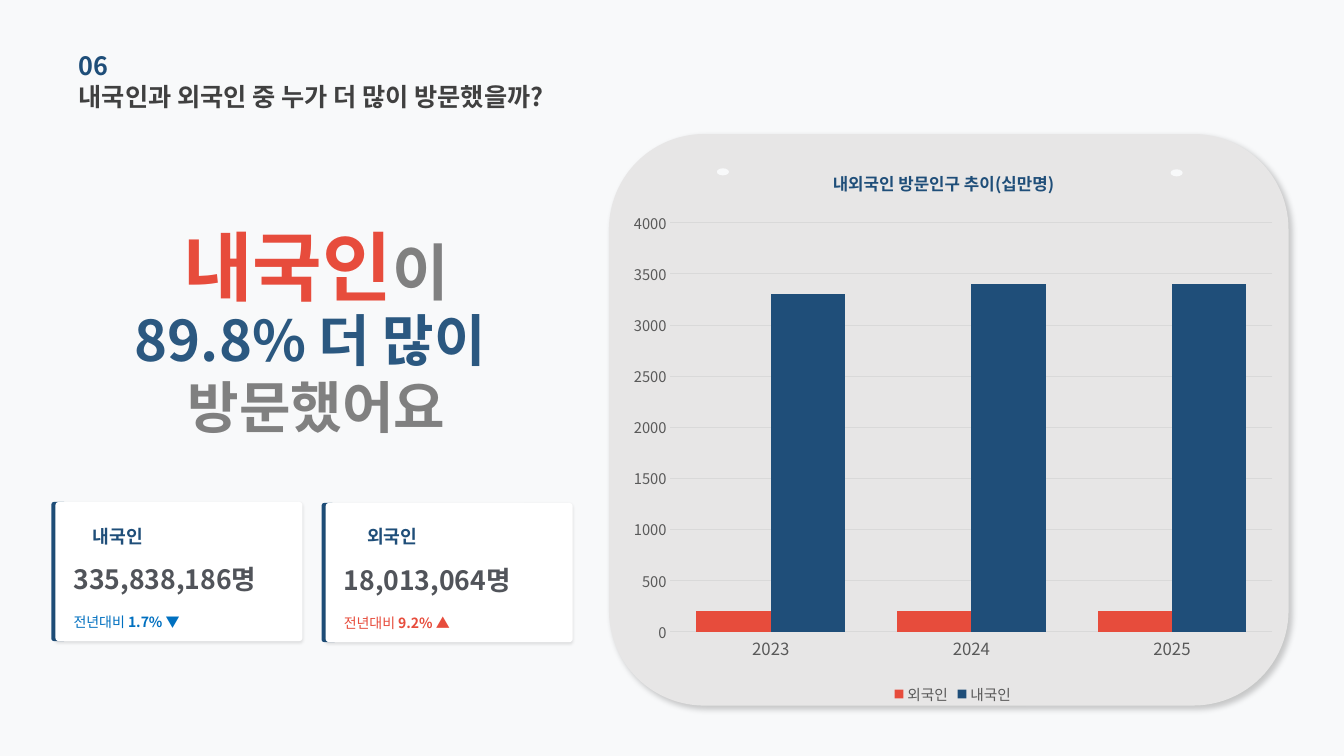
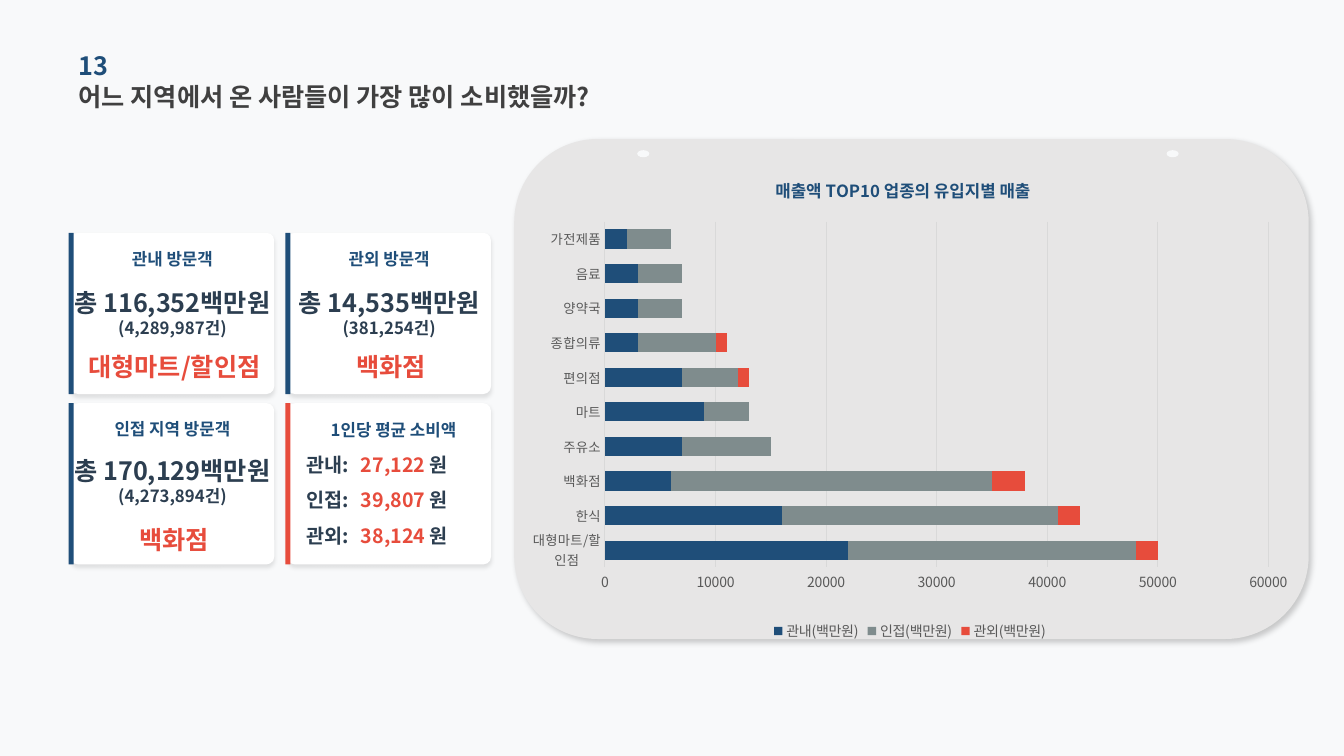
import pptx
import pptx.chart.data
import pptx.dml.color
import pptx.enum.chart
import pptx.enum.shapes
import pptx.enum.text
import pptx.oxml
import pptx.oxml.ns
import pptx.util
from lxml import etree

FACE = "Noto Sans CJK KR"
COLORS = {
    "page": "F8F9FA", "panel": "E7E6E6", "card": "FFFFFF", "navy": "1F4E79",
    "red": "E74C3C", "steel": "2B5880", "gray": "808080", "title": "404040",
    "figure": "51545A", "ink": "2C3E50", "blue": "0070C0", "slate": "7F8C8D",
    "axis": "595959", "grid": "D9D9D9",
}
PANEL_SHADOW = (20, 4, 3, 45)
SOFT_SHADOW = (10, 2, 1, 90)
CARD_SHADOW = (10, 3, 2, 90)
SHAPES = pptx.enum.shapes.MSO_SHAPE
CHARTS = pptx.enum.chart.XL_CHART_TYPE
CENTER = pptx.enum.text.PP_ALIGN.CENTER

VISITORS = {
    "number": "06",
    "title": "내국인과 외국인 중 누가 더 많이 방문했을까?",
    "panel": (6.04, 1.33, 6.74, 5.67),
    "holes": [(7.11, 1.67), (11.61, 1.68)],
    "chart": {
        "at": (6.15, 1.48, 6.6, 5.55), "kind": CHARTS.COLUMN_CLUSTERED,
        "title": "내외국인 방문인구 추이(십만명)", "title_at": (8.23, 1.64),
        "plot": (6.65, 2.21, 5.97, 4.06), "gap": 70, "overlap": 0,
        "sizes": {"category": 12, "value": 10.5, "legend": 10.5},
        "categories": ["2023", "2024", "2025"],
        "series": [("외국인", "red", [200, 200, 200]),
                   ("내국인", "navy", [3300, 3400, 3400])],
    },
}
GROUPS = [
    ("내국인", "335,838,186명", "1.7% ▼", "blue", 0.55, 4.98, 0.37),
    ("외국인", "18,013,064명", "9.2% ▲", "red", 3.23, 4.99, 0.41),
]

SPENDING = {
    "number": "13",
    "title": "어느 지역에서 온 사람들이 가장 많이 소비했을까?",
    "panel": (5.1, 1.38, 7.88, 4.96),
    "holes": [(6.32, 1.49), (11.57, 1.49)],
    "chart": {
        "at": (5.22, 1.56, 7.61, 4.84), "kind": CHARTS.BAR_STACKED,
        "title": "매출액 TOP10 업종의 유입지별 매출", "title_at": (7.66, 1.71),
        "plot": (6, 2.2, 6.58, 3.43), "gap": 80, "overlap": 100,
        "sizes": {"category": 9.5, "value": 10, "legend": 10},
        "categories": ["대형마트/할인점", "한식", "백화점", "주유소", "마트",
                       "편의점", "종합의류", "양약국", "음료", "가전제품"],
        "series": [
            ("관내(백만원)", "navy",
             [22000, 16000, 6000, 7000, 9000, 7000, 3000, 3000, 3000, 2000]),
            ("인접(백만원)", "slate",
             [26000, 25000, 29000, 8000, 4000, 5000, 7000, 4000, 4000, 4000]),
            ("관외(백만원)", "red",
             [2000, 2000, 3000, 0, 0, 1000, 1000, 0, 0, 0]),
        ],
    },
}
ORIGINS = [
    ("관내 방문객", "총 116,352백만원", "(4,289,987건)", "대형마트/할인점"),
    ("관외 방문객", "총 14,535백만원", "(381,254건)", "백화점"),
    ("인접 지역 방문객", "총 170,129백만원", "(4,273,894건)", "백화점"),
]
AVERAGES = ("1인당 평균 소비액",
            [("관내:", "27,122 "), ("인접:", "39,807 "), ("관외:", "38,124 ")])
CARD_GRID = {"left": 0.7, "top": 2.31, "width": 2.02, "height": 1.6,
             "column": 2.15, "row": 1.69}


def rgb(name):
    return pptx.dml.color.RGBColor.from_string(COLORS[name])


def inches(box):
    return [pptx.util.Inches(length) for length in box]


def set_font(font, size, color, bold=False):
    font.size = pptx.util.Pt(size)
    font.bold = bold
    font.color.rgb = rgb(color)
    font.name = FACE
    font._rPr.set("kern", "0")
    latin = font._rPr.find(pptx.oxml.ns.qn("a:latin"))
    latin.addnext(etree.Element(pptx.oxml.ns.qn("a:ea"), typeface=FACE))


def add_text(slide, box, *paragraphs, align=None):
    frame = slide.shapes.add_textbox(*inches(box)).text_frame
    frame.word_wrap = True
    frame.vertical_anchor = pptx.enum.text.MSO_ANCHOR.MIDDLE
    frame.margin_left = frame.margin_right = 0
    frame.margin_top = frame.margin_bottom = 0
    for index, runs in enumerate(paragraphs):
        paragraph = frame.add_paragraph() if index else frame.paragraphs[0]
        paragraph.alignment = align
        set_font(paragraph.font, *runs[0][1:])
        for position, (words, *style) in enumerate(runs):
            run = paragraph.add_run()
            run.text = words
            if position:
                set_font(run.font, *style)


def add_block(slide, preset, box, color, shadow=None, corner=None):
    block = slide.shapes.add_shape(preset, *inches(box))
    block.fill.solid()
    block.fill.fore_color.rgb = rgb(color)
    block.line.fill.background()
    block.shadow.inherit = False
    if corner is not None:
        block.adjustments[0] = corner
    if shadow:
        alpha, blur, distance, angle = shadow
        effects = block._element.spPr.find(pptx.oxml.ns.qn("a:effectLst"))
        effects.append(pptx.oxml.parse_xml(
            f'<a:outerShdw {pptx.oxml.ns.nsdecls("a")} blurRad="{blur * 12700}" '
            f'dist="{distance * 12700}" dir="{angle * 60000}" algn="tl" '
            f'rotWithShape="0"><a:srgbClr val="000000">'
            f'<a:alpha val="{alpha * 1000}"/></a:srgbClr></a:outerShdw>'))


def set_layout(parent, index, chart_box, place, inner=False):
    previous = parent.find(pptx.oxml.ns.qn("c:layout"))
    if previous is not None:
        parent.remove(previous)
    left, top, width, height = chart_box
    shares = [(place[0] - left) / width, (place[1] - top) / height]
    if len(place) == 4:
        shares += [place[2] / width, place[3] / height]
    target = '<c:layoutTarget val="inner"/>' if inner else ""
    modes = "".join(f'<c:{axis}Mode val="edge"/>' for axis in "xy")
    sizes = "".join(f'<c:{key} val="{share}"/>' for key, share in zip("xywh", shares))
    parent.insert(index, pptx.oxml.parse_xml(
        f'<c:layout {pptx.oxml.ns.nsdecls("c")}><c:manualLayout>'
        f'{target}{modes}{sizes}</c:manualLayout></c:layout>'))


def add_chart(slide, content):
    data = pptx.chart.data.CategoryChartData()
    data.categories = content["categories"]
    for name, _, values in content["series"]:
        data.add_series(name, values)
    box = content["at"]
    chart = slide.shapes.add_chart(content["kind"], *inches(box), data).chart
    sizes = content["sizes"]
    chart.font.size = pptx.util.Pt(10)
    chart.font.name = "Calibri"

    chart.has_title = True
    heading = chart.chart_title.text_frame
    heading.text = content["title"]
    set_font(heading.paragraphs[0].font, 12, "navy", True)
    chart.chart_title.include_in_layout = False
    set_layout(chart.chart_title._element, 1, box, content["title_at"])
    set_layout(chart._chartSpace.chart.plotArea, 0, box, content["plot"], inner=True)

    chart.has_legend = True
    chart.legend.position = pptx.enum.chart.XL_LEGEND_POSITION.BOTTOM
    chart.legend.include_in_layout = False
    set_font(chart.legend.font, sizes["legend"], "axis")

    for axis, size in ((chart.category_axis, sizes["category"]),
                       (chart.value_axis, sizes["value"])):
        axis.major_tick_mark = pptx.enum.chart.XL_TICK_MARK.NONE
        set_font(axis.tick_labels.font, size, "axis")
    chart.value_axis.has_major_gridlines = True
    chart.value_axis.format.line.fill.background()
    for rule in (chart.category_axis.format.line,
                 chart.value_axis.major_gridlines.format.line):
        rule.color.rgb = rgb("grid")
        rule.width = pptx.util.Pt(0.75)

    plot = chart.plots[0]
    plot.vary_by_categories = False
    plot.gap_width = content["gap"]
    plot.overlap = content["overlap"]
    for series, (_, color, _) in zip(plot.series, content["series"]):
        series.format.fill.solid()
        series.format.fill.fore_color.rgb = rgb(color)


def start_slide(deck, content):
    slide = deck.slides.add_slide(deck.slide_layouts[6])
    slide.background.fill.solid()
    slide.background.fill.fore_color.rgb = rgb("page")
    add_text(slide, (0.78, 0.44, 4.52, 0.41), [(content["number"], 18, "navy", True)])
    add_text(slide, (0.78, 0.75, 5.35, 0.41), [(content["title"], 18, "title", True)])
    add_block(slide, SHAPES.ROUNDED_RECTANGLE, content["panel"], "panel", PANEL_SHADOW)
    for left, top in content["holes"]:
        add_block(slide, SHAPES.OVAL, (left, top, 0.12, 0.07), "page")
    add_chart(slide, content["chart"])
    return slide


def build_visitors(deck):
    slide = start_slide(deck, VISITORS)
    add_text(slide, (0.99, 2.39, 4.29, 0.48),
             [("내국인", 54, "red", True), ("이", 44, "gray", True)], align=CENTER)
    add_text(slide, (0.38, 3.28, 5.52, 0.84),
             [("89.8% 더 많이 ", 40, "steel", True)],
             [("방문했어요", 40, "gray", True)], align=CENTER)
    for label, count, change, color, left, top, indent in GROUPS:
        add_block(slide, SHAPES.ROUNDED_RECTANGLE, (left - 0.04, top, 0.15, 1.38), "navy")
        add_block(slide, SHAPES.ROUNDED_RECTANGLE, (left, top, 2.45, 1.38), "card",
                  SOFT_SHADOW, 0.023)
        add_text(slide, (left + indent, 5.18, 0.65, 0.28), [(label, 13, "navy", True)])
        add_text(slide, (left + 0.18, top + 0.57, 2.5, 0.39),
                 [(count, 19, "figure", True)])
        add_text(slide, (left + 0.18, top + 0.96, 2.5, 0.45),
                 [("전년대비 ", 10, color), (change, 10, color, True)])


def build_spending(deck):
    slide = start_slide(deck, SPENDING)
    width, height = CARD_GRID["width"], CARD_GRID["height"]

    def add_card(index, strip):
        row, column = divmod(index, 2)
        left = CARD_GRID["left"] + column * CARD_GRID["column"]
        top = CARD_GRID["top"] + row * CARD_GRID["row"]
        add_block(slide, SHAPES.ROUNDED_RECTANGLE, (left, top, width, height), "card",
                  CARD_SHADOW, 0.048)
        add_block(slide, SHAPES.RECTANGLE, (left - 0.02, top, 0.05, height), strip)
        return left, top, row

    for index, (label, total, count, favorite) in enumerate(ORIGINS):
        left, top, row = add_card(index, "navy")
        add_text(slide, (left, top + 0.1, width, 0.31),
                 [(label, 12, "navy", True)], align=CENTER)
        add_text(slide, (left, top + 0.56 - 0.03 * row, width, 0.47),
                 [(total, 18, "ink", True)], [(count, 12, "ink", True)], align=CENTER)
        add_text(slide, (left + 0.03, top + 1.09 + 0.03 * row, width - 0.02, 0.47),
                 [(favorite, 18, "red", True)], align=CENTER)

    left, top, _ = add_card(len(ORIGINS), "red")
    label, amounts = AVERAGES
    add_text(slide, (left + 0.43, top + 0.14, 1.4, 0.25), [(label, 12, "navy", True)])
    for line, (origin, amount) in enumerate(amounts):
        line_top = top + 0.46 + 0.35 * line
        add_text(slide, (left + 0.19, line_top, 0.59, 0.3), [(origin, 14, "ink", True)])
        add_text(slide, (left + 0.73, line_top, 1.29, 0.3),
                 [(amount, 14, "red", True), ("원", 14, "ink", True)])


def main():
    deck = pptx.Presentation()
    deck.slide_width, deck.slide_height = inches((13.33, 7.5))
    build_visitors(deck)
    build_spending(deck)
    deck.save("out.pptx")


if __name__ == "__main__":
    main()
